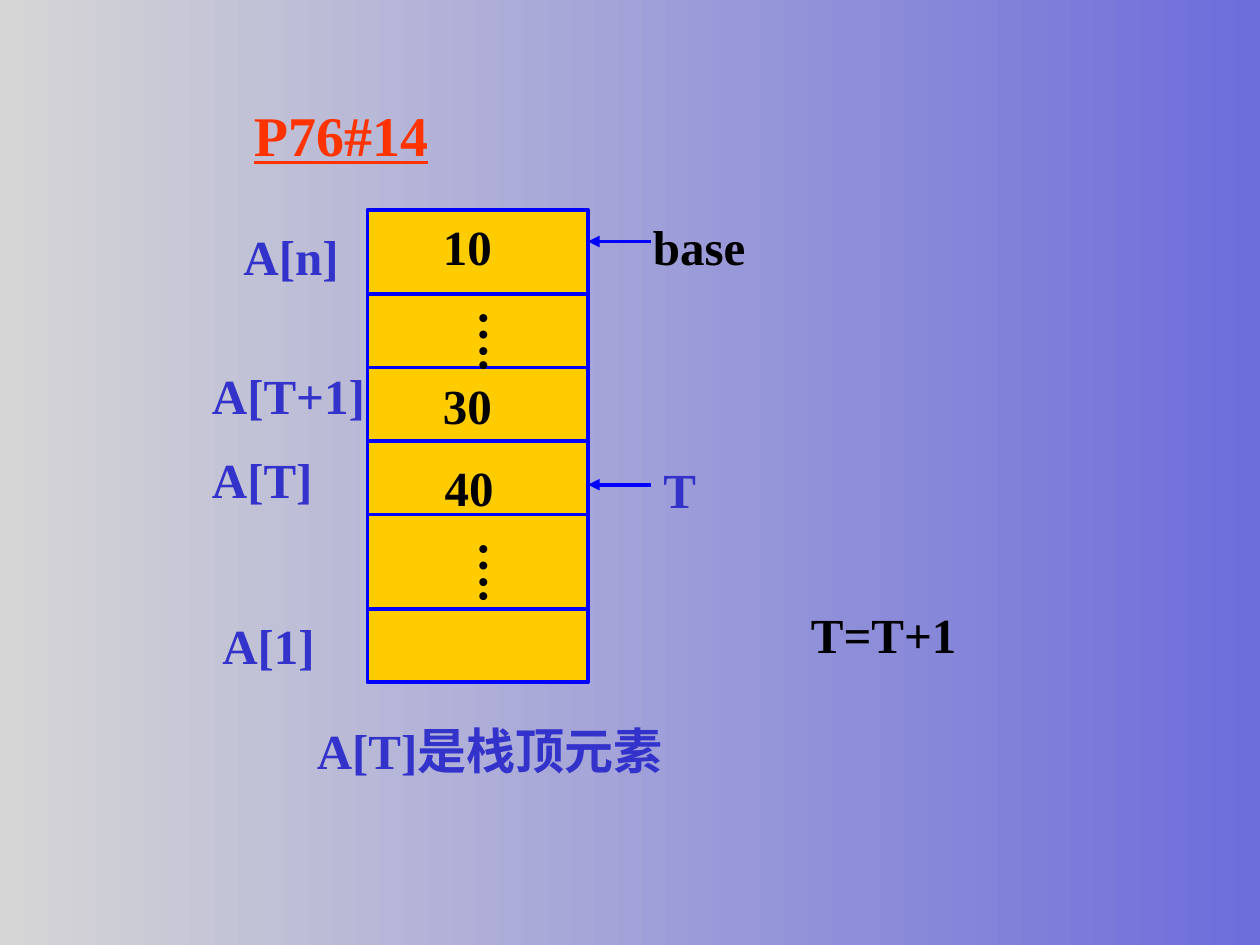
import pptx
import pptx.dml.color
import pptx.enum.shapes
import pptx.enum.text
import pptx.oxml.ns
import pptx.util
from lxml import etree

Pt = pptx.util.Pt
FONT = "Times New Roman"
BLUE, VIOLET, YELLOW, BLACK, RED = "0000FF", "3333CC", "FFCC00", "000000", "FF3300"


def color(value):
    """Return the colour of a hex string."""
    return pptx.dml.color.RGBColor.from_string(value)


def add_text(slide, text, left, top, width, height=41, fill=BLACK, size=28,
             underline=None, vertical=False, wrap=True, align=None):
    """Add a bold one-line text box, horizontal or vertical."""
    shape = slide.shapes.add_textbox(Pt(left), Pt(top), Pt(width), Pt(height))
    frame = shape.text_frame
    frame.word_wrap = wrap
    frame.auto_size = pptx.enum.text.MSO_AUTO_SIZE.SHAPE_TO_FIT_TEXT
    if vertical:
        frame.margin_left = frame.margin_right = Pt(3.6)
        frame.margin_top = frame.margin_bottom = Pt(7.2)
        body = frame._txBody.find(pptx.oxml.ns.qn("a:bodyPr"))
        body.set("vert", "eaVert")
    paragraph = frame.paragraphs[0]
    paragraph.alignment = align
    run = paragraph.add_run()
    run.text = text
    run.font.name = FONT
    run.font.size = Pt(size)
    run.font.bold = True
    run.font.underline = underline
    run.font.color.rgb = color(fill)


def add_line(slide, start_x, end_x, y, arrow=False):
    """Add a horizontal line, with an arrowhead at its end if asked."""
    connector = slide.shapes.add_connector(
        pptx.enum.shapes.MSO_CONNECTOR.STRAIGHT, Pt(start_x), Pt(y), Pt(end_x), Pt(y))
    connector.line.color.rgb = color(BLUE)
    connector.line.width = Pt(2.25)
    if arrow:
        outline = connector.line._get_or_add_ln()
        etree.SubElement(outline, pptx.oxml.ns.qn("a:tailEnd"), type="triangle")
    etree.SubElement(connector._element.spPr, pptx.oxml.ns.qn("a:effectLst"))


def add_stack(slide, left, top, width, height):
    """Draw the stack column with its dividers and cell contents."""
    column = slide.shapes.add_shape(
        pptx.enum.shapes.MSO_SHAPE.RECTANGLE, Pt(left), Pt(top), Pt(width), Pt(height))
    column.shadow.inherit = False
    column.fill.solid()
    column.fill.fore_color.rgb = color(YELLOW)
    column.line.color.rgb = color(BLUE)
    column.line.width = Pt(2.25)
    for offset in (48, 90, 132, 174, 228):
        add_line(slide, left, left + width, top + offset)
    for text, x, y in (("10", 36, 0), ("30", 36, 91), ("40", 37, 138)):
        add_text(slide, text, left + x, top + y, 66)
    for offset in (50, 182):
        add_text(slide, "….", left + 48.5, top + offset, 47.5, 54, vertical=True)


def add_indices(slide, left, top):
    """Place the array index labels beside the stack."""
    for text, x, y in (("A[n]", 18, 6), ("A[T+1]", 0, 85.5), ("A[T]", 0, 133.5), ("A[1]", 6, 228)):
        add_text(slide, text, left + x, top + y, 126, fill=VIOLET)


def add_pointers(slide, left, top):
    """Draw the base and top pointers with their labels."""
    pointers = (("base", 18, 30, 0, 84, BLACK), ("T", 157, 36, 139, 36, VIOLET))
    for text, arrow_y, x, y, width, fill in pointers:
        add_line(slide, left + 36, left, top + arrow_y, arrow=True)
        add_text(slide, text, left + x, top + y, width, fill=fill)


def build_slide(presentation):
    """Build the stack diagram slide."""
    slide = presentation.slides.add_slide(presentation.slide_layouts[6])
    background = slide.background.fill
    background.gradient()
    background.gradient_angle = 180
    for stop, value in zip(background.gradient_stops, ("6D6DDB", "D6D6D6")):
        stop.color.rgb = color(value)
    add_text(slide, "P76#14", 138, 54, 240, 46, RED, 32, underline=True)
    add_stack(slide, 210, 120, 126, 270)
    add_indices(slide, 114, 120)
    add_pointers(slide, 336, 120)
    add_text(slide, "A[T]是栈顶元素", 174, 408, 312, fill=VIOLET)
    add_text(slide, "T=T+1", 454, 342, 102, wrap=False,
             align=pptx.enum.text.PP_ALIGN.CENTER)


def main():
    """Create and save the presentation."""
    presentation = pptx.Presentation()
    presentation.slide_width, presentation.slide_height = Pt(720), Pt(540)
    build_slide(presentation)
    presentation.save("out.pptx")


if __name__ == "__main__":
    main()
